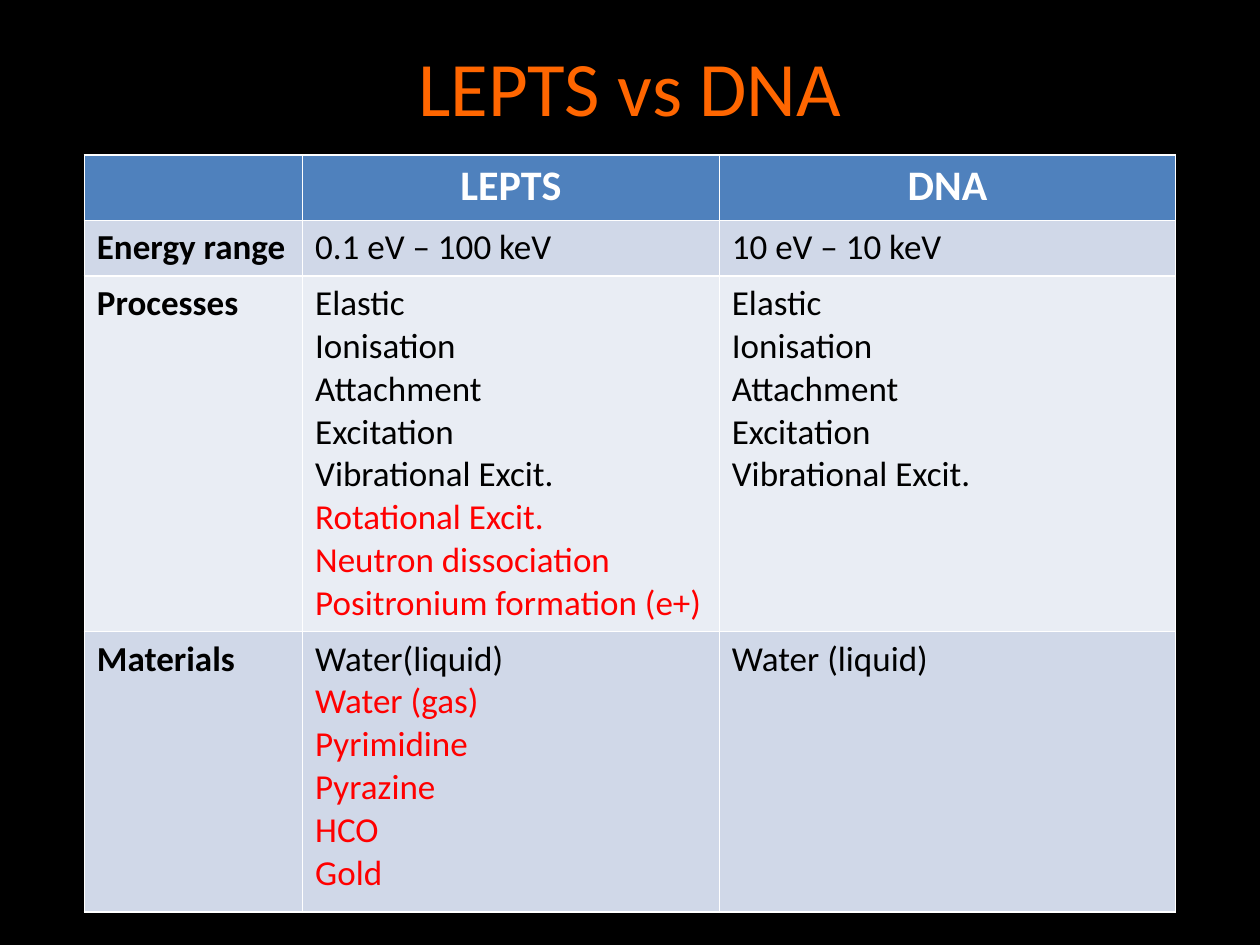
import pptx
import pptx.dml.color
import pptx.enum.text
import pptx.util

Cm = pptx.util.Cm
FONT = "Calibri"
BLACK, WHITE, RED, ORANGE = "000000", "FFFFFF", "FF0000", "FF6600"
HEADER_FILL = "4F81BD"
BAND_FILLS = ["D0D8E8", "E9EDF4"]

COLUMN_WIDTHS = [4.4, 8.4, 9.2]
ROW_HEIGHTS = [1.32, 1.12, 7.16, 5.66]
HEADINGS = ["", "LEPTS", "DNA"]
COMMON_PROCESSES = ["Elastic", "Ionisation", "Attachment", "Excitation",
                    "Vibrational Excit."]
LEPTS_PROCESSES = ["Rotational Excit.", "Neutron dissociation",
                   "Positronium formation (e+)"]
LEPTS_MATERIALS = ["Water (gas)", "Pyrimidine", "Pyrazine", "HCO", "Gold"]
COMPARISON = [
    ("Energy range", ["0.1 eV – 100 keV"], [], ["10 eV – 10 keV"]),
    ("Processes", COMMON_PROCESSES, LEPTS_PROCESSES, COMMON_PROCESSES),
    ("Materials", ["Water(liquid)"], LEPTS_MATERIALS, ["Water (liquid)"]),
]


def rgb(hex_colour):
    """Return the colour object for a hex string."""
    return pptx.dml.color.RGBColor.from_string(hex_colour)


def add_run(paragraph, text, size, colour, bold=False, centred=False):
    """Add one formatted run to a paragraph."""
    if centred:
        paragraph.alignment = pptx.enum.text.PP_ALIGN.CENTER
    run = paragraph.add_run()
    run.text = text
    run.font.name = FONT
    run.font.size = pptx.util.Pt(size)
    run.font.bold = bold
    run.font.color.rgb = rgb(colour)


def fill_cell(cell, lines, fill, size=20, bold=False, centred=False):
    """Fill a cell and write its (text, colour) lines as paragraphs."""
    cell.fill.solid()
    cell.fill.fore_color.rgb = rgb(fill)
    for index, (text, colour) in enumerate(lines):
        frame = cell.text_frame
        paragraph = frame.add_paragraph() if index else frame.paragraphs[0]
        add_run(paragraph, text, size, colour, bold, centred)


def add_title(slide, left, top, width, height):
    """Place the slide title in the given box."""
    title = slide.shapes.title
    title.left, title.top = Cm(left), Cm(top)
    title.width, title.height = Cm(width), Cm(height)
    title.text_frame.vertical_anchor = pptx.enum.text.MSO_ANCHOR.MIDDLE
    add_run(title.text_frame.paragraphs[0], "LEPTS vs DNA", 44, ORANGE,
            centred=True)


def add_comparison(slide, left, top):
    """Place the comparison table with its top left corner at the given point."""
    table = slide.shapes.add_table(
        len(ROW_HEIGHTS), len(COLUMN_WIDTHS), Cm(left), Cm(top),
        Cm(sum(COLUMN_WIDTHS)), Cm(sum(ROW_HEIGHTS))).table
    for column, width in zip(table.columns, COLUMN_WIDTHS):
        column.width = Cm(width)
    for row, height in zip(table.rows, ROW_HEIGHTS):
        row.height = Cm(height)

    for column, heading in enumerate(HEADINGS):
        lines = [(heading, WHITE)] if heading else []
        fill_cell(table.cell(0, column), lines, HEADER_FILL, 24, True, True)

    for row, (topic, shared, lepts_only, dna) in enumerate(COMPARISON, 1):
        fill = BAND_FILLS[(row - 1) % 2]
        lepts_lines = [(text, BLACK) for text in shared]
        lepts_lines += [(text, RED) for text in lepts_only]
        fill_cell(table.cell(row, 0), [(topic, BLACK)], fill, bold=True)
        fill_cell(table.cell(row, 1), lepts_lines, fill)
        fill_cell(table.cell(row, 2), [(text, BLACK) for text in dna], fill)


def main():
    """Build the slide and save it."""
    deck = pptx.Presentation()
    deck.slide_width, deck.slide_height = Cm(25.4), Cm(19.05)
    slide = deck.slides.add_slide(deck.slide_layouts.get_by_name("Title Only"))
    slide.background.fill.solid()
    slide.background.fill.fore_color.rgb = rgb(BLACK)
    add_title(slide, 1.27, 0.13, 22.86, 3.18)
    add_comparison(slide, 1.7, 3.12)
    deck.save("out.pptx")


if __name__ == "__main__":
    main()
